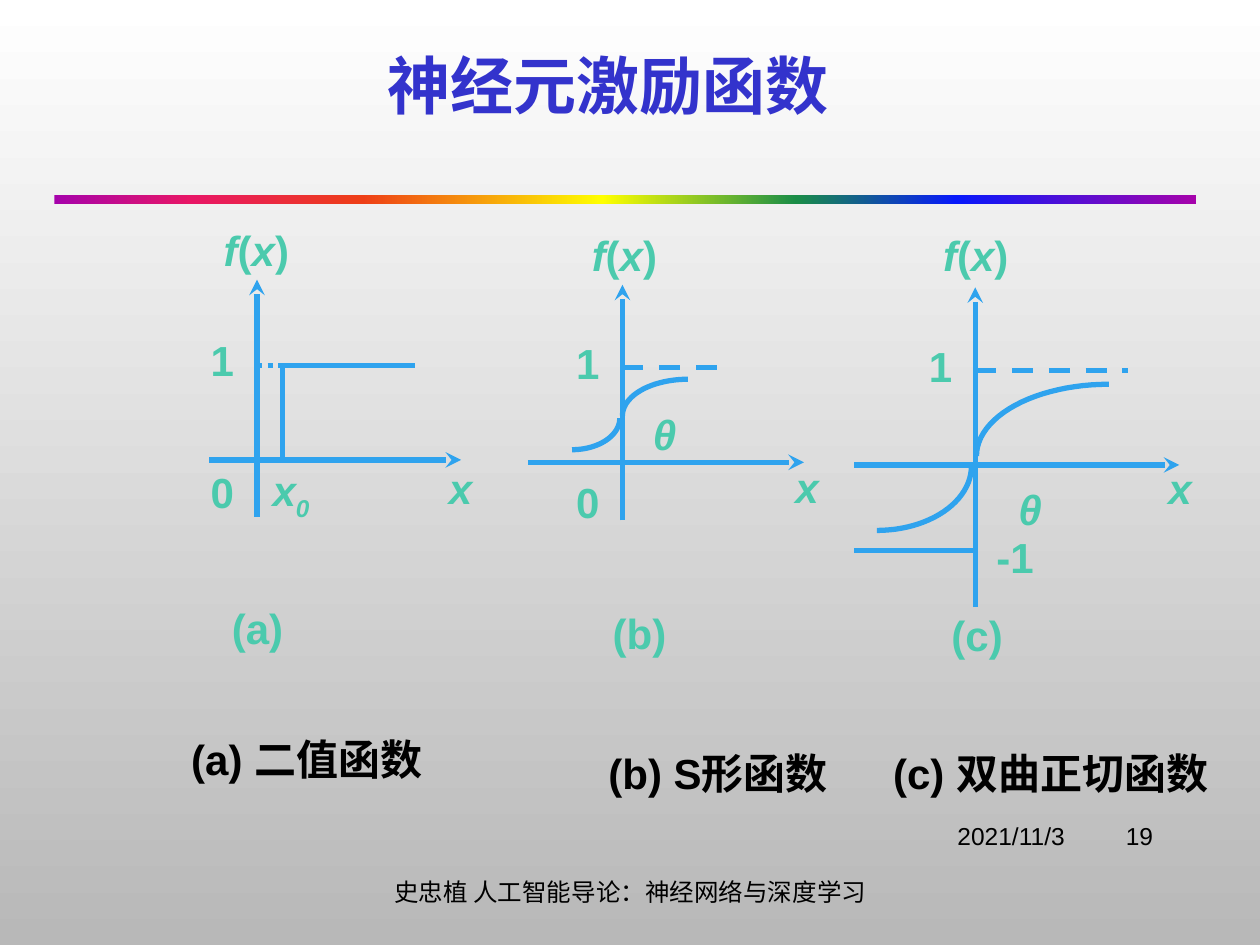
import math

from lxml import etree
from pptx import Presentation
from pptx.dml.color import RGBColor
from pptx.enum.dml import MSO_LINE
from pptx.enum.shapes import MSO_CONNECTOR, MSO_SHAPE
from pptx.enum.text import MSO_ANCHOR, PP_ALIGN
from pptx.oxml.ns import qn
from pptx.util import Pt

STRAIGHT = MSO_CONNECTOR.STRAIGHT
RECTANGLE = MSO_SHAPE.RECTANGLE
DASH, DOT = MSO_LINE.DASH, MSO_LINE.ROUND_DOT
TOP, MIDDLE = MSO_ANCHOR.TOP, MSO_ANCHOR.MIDDLE
LEFT, CENTER, RIGHT = PP_ALIGN.LEFT, PP_ALIGN.CENTER, PP_ALIGN.RIGHT

LATIN, CHINESE = "Arial", "Noto Sans CJK SC"
BLUE, GREEN, INDIGO, BLACK = "2FA3EE", "4BCAAD", "3333CC", "000000"
RAINBOW = [(0, "A603AB"), (12, "E81766"), (27, "EE3F17"), (48, "FFFF00"),
           (65, "1A8D48"), (79, "0819FB"), (100, "A603AB")]
FUNCTION = [("f", True), ("(", False), ("x", True), (")", False)]
VARIABLE = [("x", True)]
THRESHOLD = [("θ", True)]


def color(value):
    return RGBColor.from_string(value)


def paint_gradient(fill, element, angle, stops):
    fill.gradient()
    fill.gradient_angle = angle
    stop_list = next(element.iter(qn("a:gsLst")))
    for stop in list(stop_list):
        stop_list.remove(stop)
    for position, value in stops:
        stop = etree.SubElement(stop_list, qn("a:gs"), pos=str(position * 1000))
        etree.SubElement(stop, qn("a:srgbClr"), val=value)


def add_text(shapes, bounds, spans, size, value, bold=False, align=LEFT,
             anchor=TOP, spacing=1.0, latin=LATIN):
    box = shapes.add_textbox(*map(Pt, bounds))
    frame = box.text_frame
    frame.word_wrap = True
    frame.vertical_anchor = anchor
    para = frame.paragraphs[0]
    para.alignment = align
    para.line_spacing = spacing
    for text, italic, *baseline in spans:
        span = para.add_run()
        span.text = text
        font = span.font
        font.name, font.size = latin, Pt(size)
        font.bold, font.italic = bold, italic
        font.color.rgb = color(value)
        properties = span._r.get_or_add_rPr()
        etree.SubElement(properties, qn("a:ea"), typeface=CHINESE)
        if baseline:
            properties.set("baseline", str(baseline[0] * 1000))


def add_label(shapes, center, top, spans, width=68.4):
    bounds = (center - width / 2, top, width, 30.2)
    add_text(shapes, bounds, spans, 24, GREEN, True, CENTER, spacing=0.8)


def style_line(line, dash=None):
    line.color.rgb = color(BLUE)
    line.width = Pt(3)
    if dash:
        line.dash_style = dash


def add_line(shapes, start, end, dash=None, arrow=False):
    connector = shapes.add_connector(STRAIGHT, *map(Pt, start + end))
    style_line(connector.line, dash)
    if arrow:
        etree.SubElement(connector.line._get_or_add_ln(), qn("a:tailEnd"), type="stealth")
    etree.SubElement(connector._element.spPr, qn("a:effectLst"))


def add_axes(shapes, left, right, base, axis, bottom, top):
    add_line(shapes, (left, base), (right, base), arrow=True)
    add_line(shapes, (axis, bottom), (axis, top), arrow=True)


def add_quarter_curve(shapes, flat, steep, steps=24):
    points = []
    for step in range(steps + 1):
        angle = math.pi / 2 * step / steps
        x = flat[0] + (steep[0] - flat[0]) * math.sin(angle)
        y = steep[1] + (flat[1] - steep[1]) * math.cos(angle)
        points.append((Pt(x), Pt(y)))
    builder = shapes.build_freeform(*points[0])
    builder.add_line_segments(points[1:], close=False)
    curve = builder.convert_to_shape()
    curve.shadow.inherit = False
    curve.fill.background()
    style_line(curve.line)


def add_binary_plot(page):
    shapes = page.shapes.add_group_shape().shapes
    add_axes(shapes, 119.5, 263.5, 262.8, 146.9, 295.2, 159.8)
    add_line(shapes, (161.3, 262.8), (161.3, 208.8))
    add_line(shapes, (159.1, 208.8), (236.9, 208.8))
    add_line(shapes, (146.9, 208.8), (164.2, 208.8), DOT)
    add_label(shapes, 146.5, 130.3, FUNCTION)
    add_label(shapes, 263.2, 266.4, VARIABLE)
    add_label(shapes, 127.1, 193, [("1", False)])
    add_label(shapes, 127.1, 268.6, [("0", False)])
    add_label(shapes, 166.3, 265, [("x", True), ("0", True, -25)], 82)
    add_label(shapes, 147.2, 346.3, [("(a)", False)], 44)


def add_sigmoid_plot(page):
    shapes = page.shapes.add_group_shape().shapes
    add_axes(shapes, 301.7, 459.4, 264.2, 355.7, 297.4, 162.7)
    add_quarter_curve(shapes, (326.9, 257), (354.2, 239))
    add_quarter_curve(shapes, (393.1, 216.7), (355.7, 237.6))
    add_line(shapes, (355.7, 210.2), (411.8, 210.2), DASH)
    add_label(shapes, 356.8, 133.2, FUNCTION)
    add_label(shapes, 461.2, 265.7, VARIABLE)
    add_label(shapes, 335.9, 195.1, [("1", False)])
    add_label(shapes, 335.9, 274.3, [("0", False)])
    add_label(shapes, 379.8, 235.4, THRESHOLD)
    add_label(shapes, 365.4, 349.2, [("(b)", False)], 51)


def add_tangent_plot(page):
    shapes = page.shapes.add_group_shape().shapes
    add_axes(shapes, 488.2, 673.9, 265.7, 557.3, 347, 164.2)
    add_quarter_curve(shapes, (501.1, 303.1), (555.1, 266.4))
    add_quarter_curve(shapes, (633.6, 219.6), (558, 260.6))
    add_line(shapes, (557.3, 211.7), (644.4, 211.7), DASH)
    add_line(shapes, (488.2, 314.6), (557.3, 314.6))
    add_label(shapes, 557.6, 133.2, FUNCTION)
    add_label(shapes, 674.3, 266.4, VARIABLE)
    add_label(shapes, 537.5, 196.6, [("1", False)])
    add_label(shapes, 580, 306, [("-1", False)])
    add_label(shapes, 588.6, 278.6, THRESHOLD)
    add_label(shapes, 558.4, 350.6, [("(c)", False)], 44)


def add_rainbow_rule(page):
    rule = page.shapes.add_shape(RECTANGLE, Pt(31), Pt(111.4), Pt(652.4), Pt(5.4))
    rule.shadow.inherit = False
    rule.line.fill.background()
    paint_gradient(rule.fill, rule._element, 0, RAINBOW)


def add_captions(page):
    for left, top, width, text in [(102.2, 415.4, 147.6, "(a) 二值函数"),
                                   (340.6, 423.4, 147.6, "(b) S形函数"),
                                   (503.3, 423.4, 196.6, "(c) 双曲正切函数")]:
        add_text(page.shapes, (left, top, width, 36.7), [(text, False)], 24, BLACK, True)


def add_footer(page):
    for bounds, text, align in [((453.6, 463, 162, 28.8), "2021/11/3", RIGHT),
                                ((218.2, 491.8, 289.4, 36),
                                 "史忠植 人工智能导论：神经网络与深度学习", LEFT),
                                ((620.6, 463, 45.4, 28.8), "19", RIGHT)]:
        add_text(page.shapes, bounds, [(text, False)], 14, BLACK, align=align, anchor=MIDDLE)


def main():
    deck = Presentation()
    deck.slide_width, deck.slide_height = Pt(720), Pt(540)
    page = deck.slides.add_slide(deck.slide_layouts[6])
    paint_gradient(page.background.fill, page._element, 270, [(0, "FFFFFF"), (100, "B8B8B8")])
    add_rainbow_rule(page)
    add_text(page.shapes, (50.4, 0, 594, 102.2), [("神经元激励函数", False)], 36,
             INDIGO, True, CENTER, MIDDLE, 0.9, CHINESE)
    add_footer(page)
    add_binary_plot(page)
    add_tangent_plot(page)
    add_sigmoid_plot(page)
    add_captions(page)
    deck.save("out.pptx")


if __name__ == "__main__":
    main()
